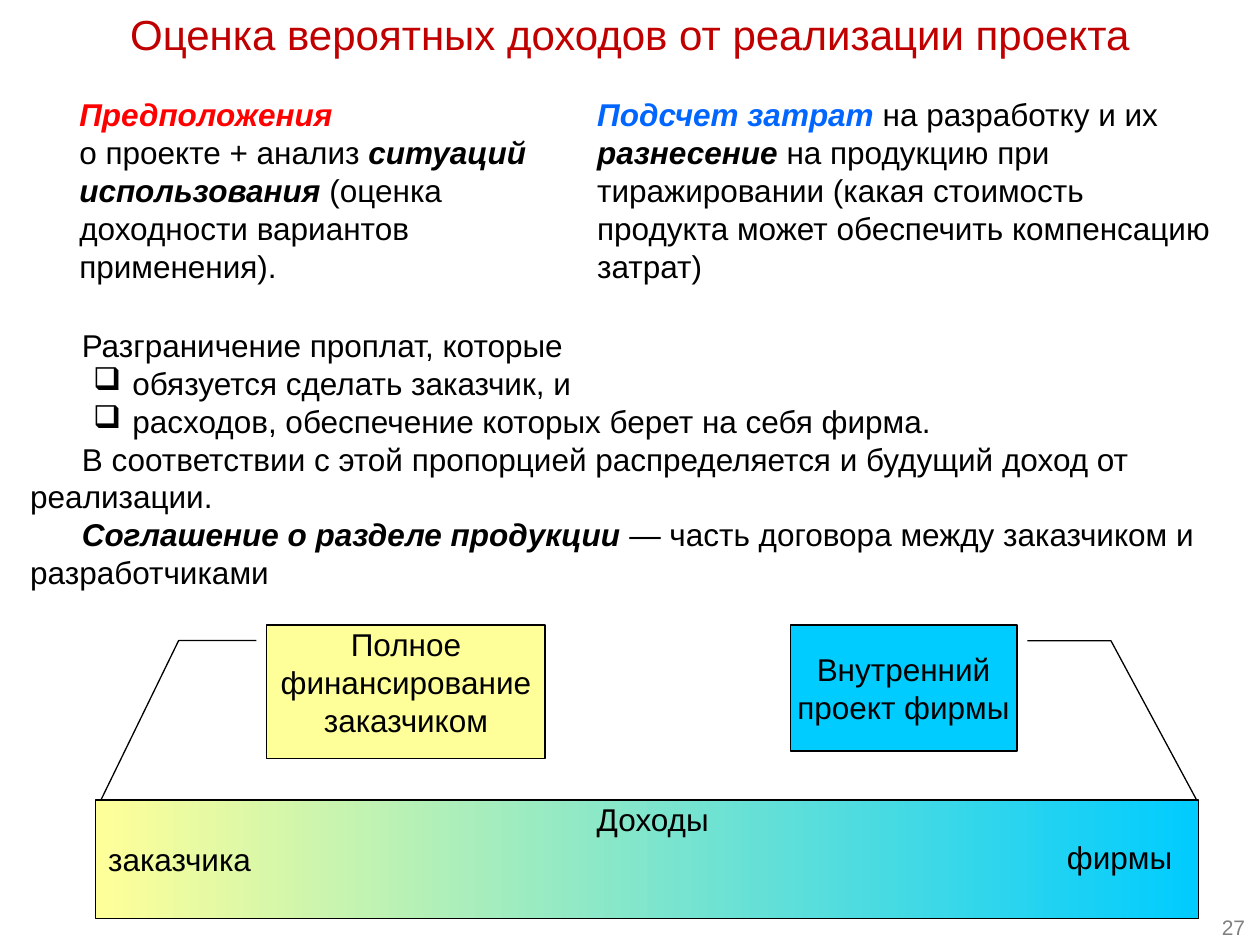
from lxml.etree import SubElement
from pptx import Presentation
from pptx.dml.color import RGBColor
from pptx.enum.shapes import MSO_SHAPE
from pptx.enum.text import MSO_ANCHOR, PP_ALIGN
from pptx.oxml.ns import qn
from pptx.util import Cm, Pt

BLACK = RGBColor(0x00, 0x00, 0x00)
GRAY = RGBColor(0x80, 0x80, 0x80)
DARK_RED = RGBColor(0xC0, 0x00, 0x00)
RED = RGBColor(0xFF, 0x00, 0x00)
BLUE = RGBColor(0x00, 0x66, 0xFF)
YELLOW = RGBColor(0xFF, 0xFF, 0x99)
CYAN = RGBColor(0x00, 0xCC, 0xFF)


def add_run(p, text, size=18, color=BLACK, strong=False):
    """Add one run; strong means bold italic."""
    r = p.add_run()
    r.text = text
    r.font.name = "Arial"
    r.font.size = Pt(size)
    r.font.color.rgb = color
    r.font.bold = r.font.italic = strong


def set_indent(p, left, first, bullet=None):
    """Set the left margin, first-line indent and optional bullet."""
    pPr = p._p.get_or_add_pPr()
    pPr.set("marL", str(Cm(left)))
    pPr.set("indent", str(Cm(first)))
    if bullet:
        SubElement(pPr, qn("a:buChar")).set("char", bullet)


def add_text(s, box, align=PP_ALIGN.LEFT):
    """Add a wrapping text box and return its first paragraph."""
    tf = s.shapes.add_textbox(*map(Cm, box)).text_frame
    tf.word_wrap = True
    p = tf.paragraphs[0]
    p.alignment = align
    return p


def add_box(s, kind, box, anchor, insets=(0, 0)):
    """Add an outlined shape with the given left and right insets."""
    sp = s.shapes.add_shape(kind, *map(Cm, box))
    sp.shadow.inherit = False
    sp.line.color.rgb = BLACK
    sp.line.width = Pt(0.75)
    tf = sp.text_frame
    tf.word_wrap = True
    tf.vertical_anchor = anchor
    tf.margin_left, tf.margin_right = map(Cm, insets)
    tf.margin_top = tf.margin_bottom = 0
    return sp


def add_header(s, left, top, width, height):
    """Add the slide title."""
    p = add_text(s, (left, top, width, height), PP_ALIGN.CENTER)
    add_run(p, "Оценка вероятных доходов от реализации проекта", 24, DARK_RED)


def add_columns(s, left, top, width, height):
    """Add the two approaches side by side."""
    p = add_text(s, (left, top, 10, height))
    add_run(p, "Предположения", color=RED, strong=True)
    p.add_line_break()
    add_run(p, "о проекте + анализ ")
    add_run(p, "ситуаций использования ", strong=True)
    add_run(p, "(оценка доходности вариантов применения).")

    p = add_text(s, (left + 10.44, top, width - 10.44, height))
    add_run(p, "Подсчет затрат ", color=BLUE, strong=True)
    add_run(p, "на разработку и их ")
    add_run(p, "разнесение", strong=True)
    add_run(p, " на продукцию при тиражировании (какая стоимость "
               "продукта может обеспечить компенсацию затрат)")


def add_agreement(s, left, top, width, height):
    """Add the paragraphs on sharing payments and income."""
    body, item = (0, 1.04), (2.06, -0.79, "❑")
    paragraphs = [
        (body, [("Разграничение проплат, которые", False)]),
        (item, [("обязуется сделать заказчик, и", False)]),
        (item, [("расходов, обеспечение которых берет на себя фирма.", False)]),
        (body, [("В соответствии с этой пропорцией распределяется "
                 "и будущий доход от реализации.", False)]),
        (body, [("Соглашение о разделе продукции", True),
                (" — часть договора между заказчиком и разработчиками", False)]),
    ]
    p = add_text(s, (left, top, width, height))
    tf = p._parent
    for i, (indent, runs) in enumerate(paragraphs):
        p = tf.add_paragraph() if i else p
        set_indent(p, *indent)
        for text, strong in runs:
            add_run(p, text, strong=strong)


def add_income_diagram(s, left, top, width, height):
    """Add the income bar with a callout for each end."""
    bar_top, bar_height = top + 3.53, height - 3.53
    callouts = [
        ("Полное финансирование заказчиком", YELLOW, MSO_ANCHOR.TOP,
         (left + 3.45, top, 5.61, 2.69),
         (0.117, -0.038, 0.117, -0.317, 1.328, -0.6)),
        ("Внутренний проект фирмы", CYAN, MSO_ANCHOR.MIDDLE,
         (left + 14, top, 4.57, 2.54),
         (0.125, 1.046, 0.125, 1.415, 1.382, 1.791)),
    ]
    for text, color, anchor, box, leader in callouts:
        sp = add_box(s, MSO_SHAPE.LINE_CALLOUT_2, box, anchor)
        sp.fill.solid()
        sp.fill.fore_color.rgb = color
        for i, value in enumerate(leader):
            sp.adjustments[i] = value
        p = sp.text_frame.paragraphs[0]
        p.alignment = PP_ALIGN.CENTER
        add_run(p, text)

    bar = add_box(s, MSO_SHAPE.RECTANGLE, (left, bar_top, width, bar_height),
                  MSO_ANCHOR.TOP, (0.76, 0.53))
    bar.fill.gradient()
    bar.fill.gradient_angle = 0
    for stop, color, position in zip(bar.fill.gradient_stops, (YELLOW, CYAN), (0, 1)):
        stop.color.rgb = color
        stop.position = position
    tf = bar.text_frame
    p = tf.paragraphs[0]
    p.alignment = PP_ALIGN.CENTER
    add_run(p, "Доходы")
    p = tf.add_paragraph()
    p.alignment = PP_ALIGN.RIGHT
    add_run(p, "фирмы")

    p = add_text(s, (left, bar_top + 0.68, 3.81, 1.02))
    add_run(p, "заказчика")


def add_page_number(s, left, top, width, height):
    """Add the page number."""
    p = add_text(s, (left, top, width, height), PP_ALIGN.RIGHT)
    add_run(p, "27", 12, GRAY)


def main():
    """Build and save the slide."""
    prs = Presentation()
    prs.slide_width, prs.slide_height = Cm(25.4), Cm(19.05)
    s = prs.slides.add_slide(prs.slide_layouts[6])
    add_page_number(s, 23.7, 18.31, 1.65, 0.74)
    add_header(s, 0, 0.05, 25.4, 1.42)
    add_columns(s, 1.35, 1.8, 23.57, 4.11)
    add_agreement(s, 0.36, 6.45, 24.13, 5.64)
    add_income_diagram(s, 1.93, 12.6, 22.23, 5.92)
    prs.save("out.pptx")


if __name__ == "__main__":
    main()
